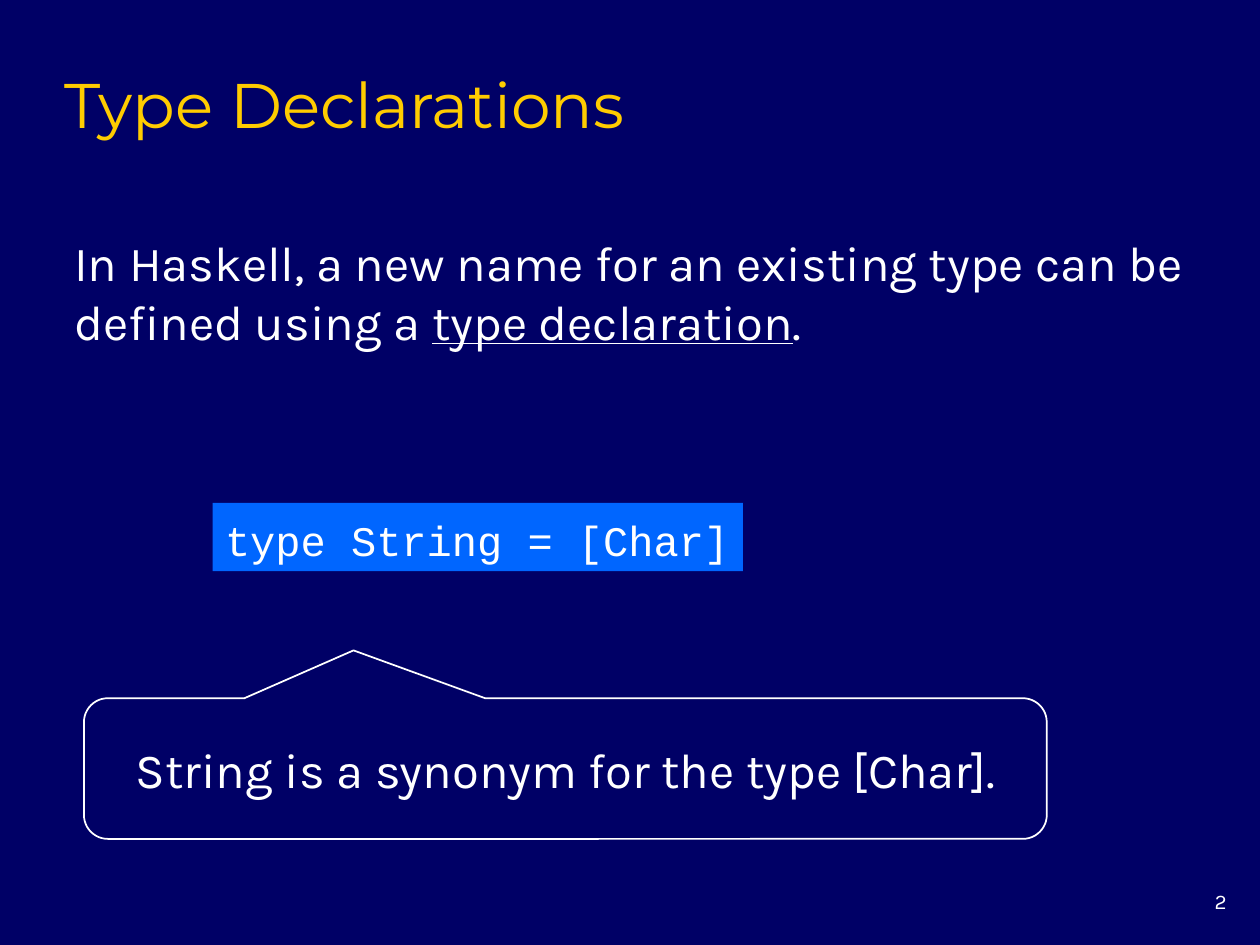
"""Build the slide that introduces type declarations in Haskell."""
from dataclasses import dataclass

from pptx import Presentation
from pptx.dml.color import RGBColor
from pptx.enum.shapes import MSO_SHAPE
from pptx.enum.text import MSO_ANCHOR, PP_ALIGN
from pptx.util import Inches, Pt


@dataclass(frozen=True)
class Theme:
    """Colours, fonts and type sizes of the deck."""
    background: str = "000066"
    heading: str = "FFCC00"
    text: str = "FFFFFF"
    code_fill: str = "0066FF"
    heading_font: str = "Montserrat"
    body_font: str = "Karla"
    code_font: str = "Courier New"
    heading_size: float = 36
    body_size: float = 28
    code_size: float = 24
    number_size: float = 11.9
    outline: float = 1


class Page:
    """A slide on a grid of 120 columns by 90 rows."""

    def __init__(self, deck, theme):
        self.theme = theme
        self.column = deck.slide_width / 120
        self.row = deck.slide_height / 90
        self.slide = deck.slides.add_slide(deck.slide_layouts[6])
        self.slide.background.fill.solid()
        self.slide.background.fill.fore_color.rgb = RGBColor.from_string(theme.background)

    def place(self, left, top, width, height):
        """Turn grid units into lengths."""
        return (round(left * self.column), round(top * self.row),
                round(width * self.column), round(height * self.row))

    def fill_text(self, box, spans, font, size, color=None, align=PP_ALIGN.LEFT,
                  anchor=MSO_ANCHOR.MIDDLE, wrap=True, spacing=None):
        """Fill a box with one paragraph of (text, underlined) spans."""
        frame = box.text_frame
        frame.word_wrap = wrap
        frame.vertical_anchor = anchor
        para = frame.paragraphs[0]
        para.alignment = align
        para.line_spacing = spacing
        for text, underlined in spans:
            span = para.add_run()
            span.text = text
            span.font.name = font
            span.font.size = Pt(size)
            span.font.underline = underlined
            span.font.color.rgb = RGBColor.from_string(color or self.theme.text)

    def text(self, area, spans, font, size, **style):
        """Add a text box."""
        box = self.slide.shapes.add_textbox(*self.place(*area))
        self.fill_text(box, spans, font, size, **style)

    def shape(self, kind, area):
        """Add a preset shape without shadow, fill or line."""
        box = self.slide.shapes.add_shape(kind, *self.place(*area))
        box.shadow.inherit = False
        box.fill.background()
        box.line.fill.background()
        return box

    def code(self, area, text):
        """Add a line of code on a coloured bar."""
        box = self.shape(MSO_SHAPE.RECTANGLE, area)
        box.fill.solid()
        box.fill.fore_color.rgb = RGBColor.from_string(self.theme.code_fill)
        self.fill_text(box, [(text, False)], self.theme.code_font,
                       self.theme.code_size, wrap=False, spacing=1.1)

    def callout(self, area, text, pointer):
        """Add an outlined speech bubble."""
        box = self.shape(MSO_SHAPE.ROUNDED_RECTANGULAR_CALLOUT, area)
        box.line.color.rgb = RGBColor.from_string(self.theme.text)
        box.line.width = Pt(self.theme.outline)
        for index, value in enumerate(pointer):
            box.adjustments[index] = value
        self.fill_text(box, [(text, False)], self.theme.body_font,
                       self.theme.body_size, align=PP_ALIGN.CENTER)


def main():
    """Compose and save the deck."""
    deck = Presentation()
    deck.slide_width, deck.slide_height = Inches(10), Inches(7.5)
    theme = Theme()
    page = Page(deck, theme)
    page.text((110, 84, 8, 4), [("2", False)], theme.body_font, theme.number_size,
              align=PP_ALIGN.RIGHT, anchor=MSO_ANCHOR.TOP)
    page.text((5, 5, 102, 9), [("Type Declarations", False)], theme.heading_font,
              theme.heading_size, color=theme.heading, anchor=MSO_ANCHOR.BOTTOM)
    page.text((5.9, 21.5, 108, 12.5), [
        ("In Haskell, a new name for an existing type can be defined using a ", False),
        ("type declaration", True),
        (".", False),
    ], theme.body_font, theme.body_size)
    page.code((20.25, 47.9, 50.5, 6.5), "type String = [Char]")
    page.callout((8, 66.5, 91.7, 13.4), "String is a synonym for the type [Char].",
                 pointer=(-0.22, -0.84, 0.17))
    deck.save("out.pptx")


main()
